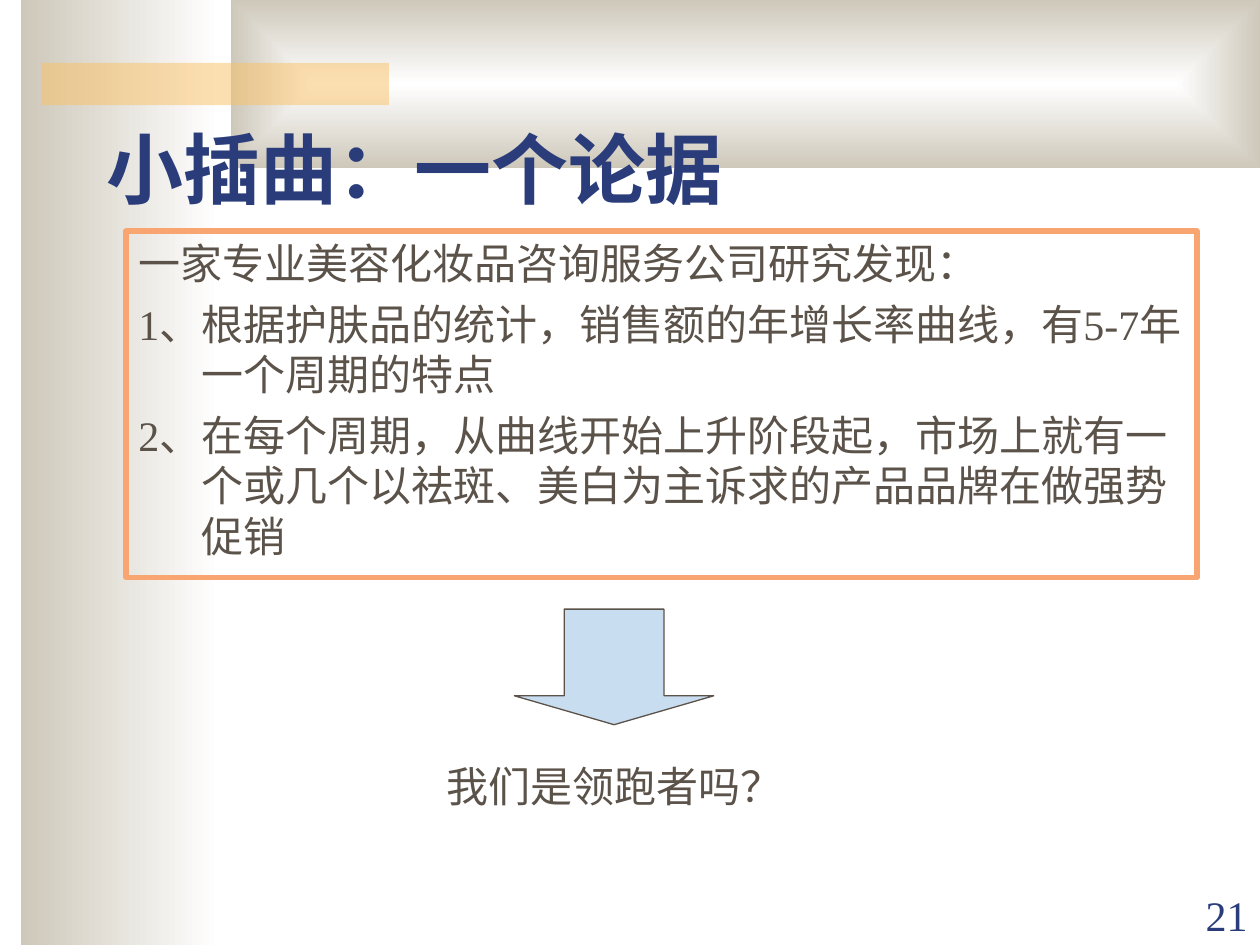
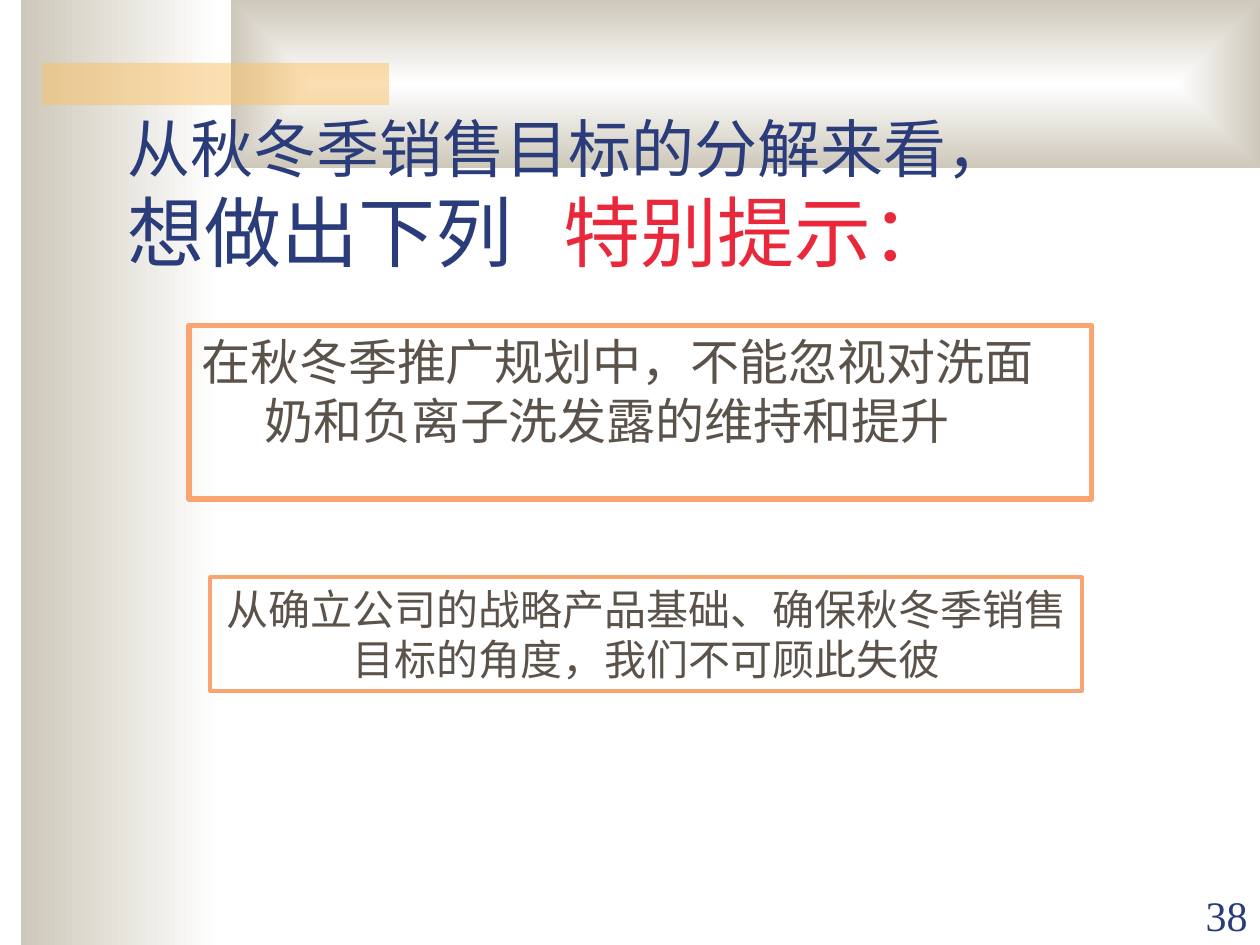
from lxml import etree
from pptx import Presentation
from pptx.dml.color import RGBColor
from pptx.enum import shapes, text
from pptx.oxml import ns
from pptx.util import Cm, Pt

NAVY = RGBColor(0x2A, 0x3D, 0x7A)
BROWN = RGBColor(0x5B, 0x52, 0x49)
RED = RGBColor(0xE9, 0x29, 0x3B)
ORANGE = RGBColor(0xF8, 0xA5, 0x72)
GOLD = RGBColor(0xFA, 0xC1, 0x64)
SKY = RGBColor(0xC9, 0xDD, 0xF1)
STONE = RGBColor(0xCE, 0xC8, 0xBA)
WHITE = RGBColor(0xFF, 0xFF, 0xFF)
FONT = "Times New Roman"
WIDTH, HEIGHT = 25.4, 19.05
LEFT, CENTER, RIGHT = text.PP_ALIGN.LEFT, text.PP_ALIGN.CENTER, text.PP_ALIGN.RIGHT
TOP, BOTTOM = text.MSO_ANCHOR.TOP, text.MSO_ANCHOR.BOTTOM
RECTANGLE = shapes.MSO_SHAPE.RECTANGLE


def add_plain_shape(slide, box, preset=RECTANGLE):
    """Add a preset shape with no shadow, fill or line."""
    shape = slide.shapes.add_shape(preset, *map(Cm, box))
    shape.shadow.inherit = False
    shape.fill.background()
    shape.line.fill.background()
    return shape


def add_gradient_band(slide, box):
    """Add a band that fades from stone on the left to white."""
    band = add_plain_shape(slide, box)
    band.fill.gradient()
    band.fill.gradient_angle = 180
    for stop, color in zip(band.fill.gradient_stops, (WHITE, STONE)):
        stop.color.rgb = color
    return band


def make_rectangular(band):
    """Turn a band's linear gradient into one that spreads from its centre."""
    linear = next(band._element.iter(ns.qn("a:lin")))
    gradient = linear.getparent()
    gradient.remove(linear)
    route = etree.SubElement(gradient, ns.qn("a:path"), {"path": "rect"})
    sides = {side: "50000" for side in "ltrb"}
    etree.SubElement(route, ns.qn("a:fillToRect"), sides)


def add_background(slide, box):
    """Draw the side band, the top band and the gold bar."""
    left, top, width, height = box
    add_gradient_band(slide, (left + 0.42, top, 4.02, height))
    make_rectangular(add_gradient_band(slide, (left + 4.66, top, width - 4.66, 3.39)))
    bar = add_plain_shape(slide, (left + 0.85, top + 1.27, 6.99, 0.85))
    bar.fill.solid()
    bar.fill.fore_color.rgb = GOLD
    color = next(bar._element.spPr.iter(ns.qn("a:srgbClr")))
    etree.SubElement(color, ns.qn("a:alpha"), {"val": "50000"})


def style_paragraph(paragraph, size, color, align=LEFT, bold=False):
    """Set the alignment and font of a paragraph."""
    paragraph.alignment = align
    font = paragraph.font
    font.name, font.size, font.bold = FONT, Pt(size), bold
    font.color.rgb = color


def fill_text(shape, lines, size, color=BROWN, align=LEFT, anchor=TOP, bold=False, hanging=False):
    """Write one paragraph a line into a shape."""
    frame = shape.text_frame
    frame.word_wrap = True
    frame.vertical_anchor = anchor
    frame.text = "\n".join(lines)
    for index, paragraph in enumerate(frame.paragraphs):
        if hanging:
            properties = paragraph._p.get_or_add_pPr()
            properties.set("marL", str(Cm(1.27)))
            properties.set("indent", str(-Cm(1.27)))
        if index:
            paragraph.space_before = Pt(6)
        style_paragraph(paragraph, size, color, align, bold)


def add_text(slide, box, lines, size, **style):
    """Add a text box."""
    fill_text(slide.shapes.add_textbox(*map(Cm, box)), lines, size, **style)


def add_framed_text(slide, box, lines, size, line_width=3, **style):
    """Add text inside an orange frame."""
    frame = add_plain_shape(slide, box)
    frame.line.color.rgb = ORANGE
    frame.line.width = Pt(line_width)
    fill_text(frame, lines, size, **style)


def add_split_title(slide, box, first, second, warning):
    """Add a two-line title whose second line ends in a red warning."""
    frame = slide.shapes.add_textbox(*map(Cm, box)).text_frame
    frame.word_wrap = True
    frame.vertical_anchor = BOTTOM
    paragraph = frame.paragraphs[0]
    tabs = etree.SubElement(paragraph._p.get_or_add_pPr(), ns.qn("a:tabLst"))
    etree.SubElement(tabs, ns.qn("a:tab"), {"pos": str(Cm(8.78)), "algn": "l"})
    style_paragraph(paragraph, 44, NAVY)
    opening = paragraph.add_run()
    opening.text = first
    opening.font.size = Pt(36)
    paragraph.add_line_break()
    paragraph.add_run().text = second + "\t"
    ending = paragraph.add_run()
    ending.text = warning
    ending.font.color.rgb = RED


def add_down_arrow(slide, box):
    """Add the pale blue arrow that leads to the question."""
    arrow = add_plain_shape(slide, box, shapes.MSO_SHAPE.DOWN_ARROW)
    arrow.adjustments[0], arrow.adjustments[1] = 0.5, 0.25
    arrow.fill.solid()
    arrow.fill.fore_color.rgb = SKY
    arrow.line.color.rgb = BROWN
    arrow.line.width = Pt(0.75)


def start_slide(presentation, number):
    """Add a slide with the shared background and its page number."""
    slide = presentation.slides.add_slide(presentation.slide_layouts[6])
    add_background(slide, (0, 0, WIDTH, HEIGHT))
    add_text(slide, (WIDTH - 2.54, 17.8, 2.54, 1.27), [number], 24,
             color=NAVY, align=RIGHT, anchor=BOTTOM)
    return slide


def build_evidence_slide(presentation, box):
    """Build the slide that leads from findings to a question."""
    left, top, width, height = box
    slide = start_slide(presentation, "21")
    add_text(slide, (left + 1.9, top + 2.75, 21.59, 1.69), ["小插曲：一个论据"], 44,
             color=NAVY, anchor=BOTTOM, bold=True)
    findings = [
        "一家专业美容化妆品咨询服务公司研究发现：",
        "1、根据护肤品的统计，销售额的年增长率曲线，有5-7年一个周期的特点",
        "2、在每个周期，从曲线开始上升阶段起，市场上就有一个或几个以祛斑、美白为主诉求的产品品牌在做强势促销",
    ]
    add_framed_text(slide, (left + 2.54, top + 4.66, 21.59, 6.98), findings, 24, hanging=True)
    add_text(slide, (left + 8.47, top + 15.21, 7.83, 1.27), ["我们是领跑者吗？"], 24, align=CENTER)
    add_down_arrow(slide, (left + 10.37, top + 12.28, 4.02, 2.33))


def build_reminder_slide(presentation, box):
    """Build the slide with the special reminder."""
    left, top, width, height = box
    slide = start_slide(presentation, "38")
    add_split_title(slide, (left + 2.33, top + 2.54, 21.59, 3.17),
                    "从秋冬季销售目标的分解来看，", "想做出下列", "特别提示：")
    add_framed_text(slide, (left + 3.81, top + 6.56, 18.2, 3.5),
                    ["在秋冬季推广规划中，不能忽视对洗面奶和负离子洗发露的维持和提升"],
                    28, hanging=True)
    add_framed_text(slide, (left + 4.24, top + 11.64, 17.57, 2.29),
                    ["从确立公司的战略产品基础、确保秋冬季销售目标的角度，我们不可顾此失彼"],
                    24, line_width=2.25, align=CENTER)


def main():
    """Build and save the presentation."""
    presentation = Presentation()
    presentation.slide_width, presentation.slide_height = Cm(WIDTH), Cm(HEIGHT)
    page = (0, 0, WIDTH, HEIGHT)
    build_evidence_slide(presentation, page)
    build_reminder_slide(presentation, page)
    presentation.save("out.pptx")


if __name__ == "__main__":
    main()
